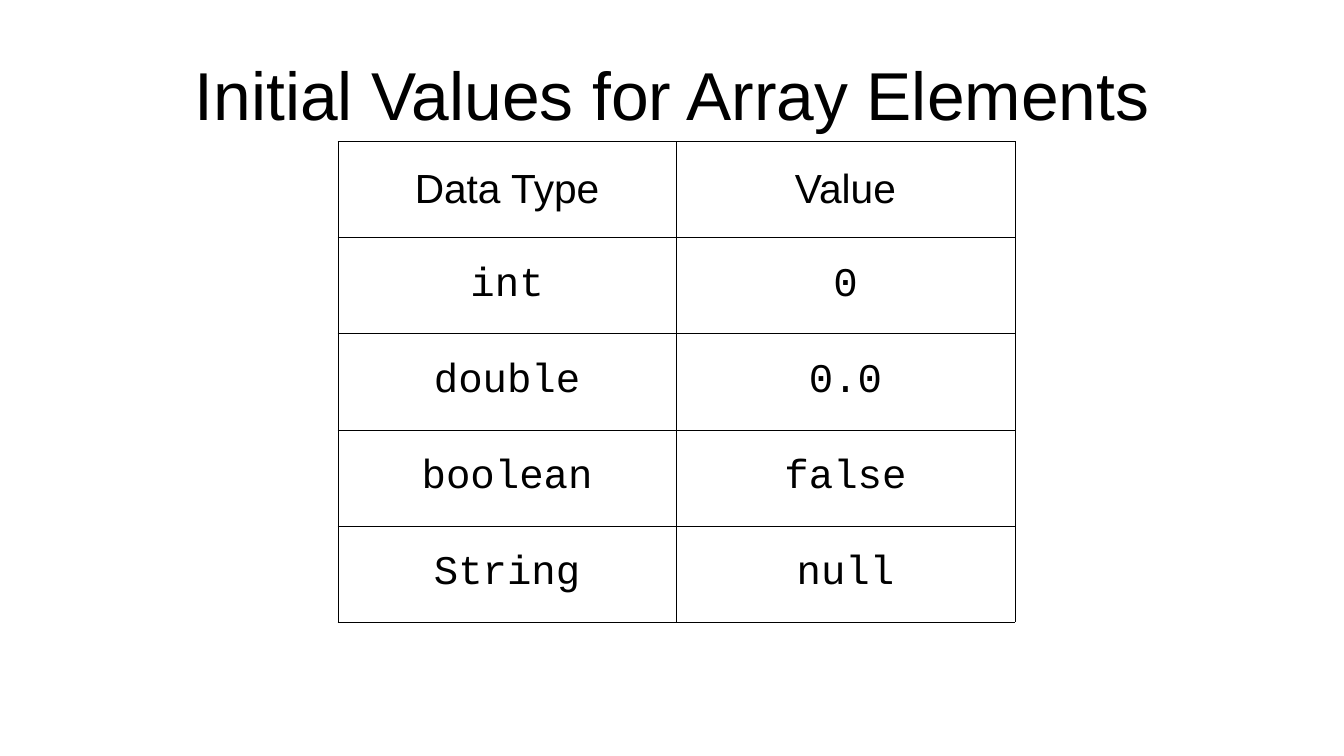
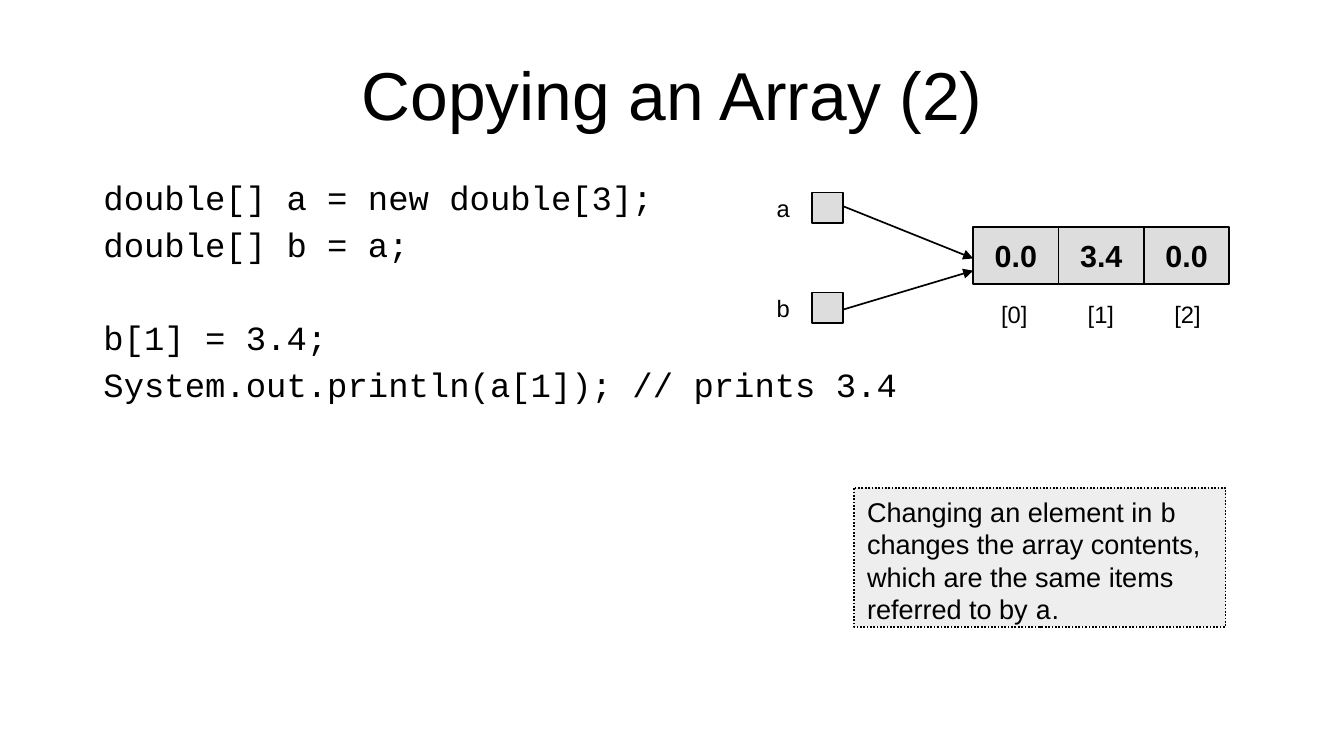
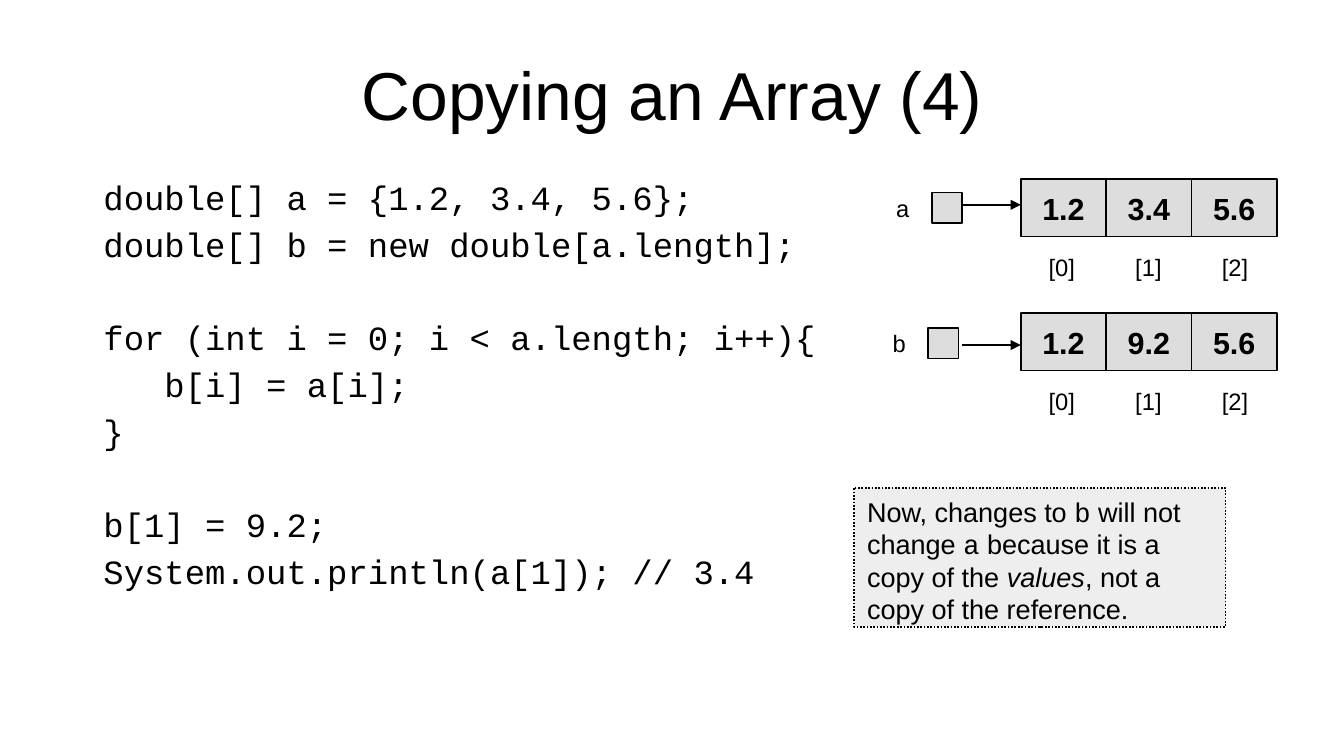
from lxml import etree
from pptx import Presentation
from pptx.dml.color import RGBColor
from pptx.enum.dml import MSO_LINE
from pptx.enum.shapes import MSO_CONNECTOR, MSO_SHAPE
from pptx.enum.text import MSO_ANCHOR, MSO_AUTO_SIZE, PP_ALIGN
from pptx.oxml.ns import qn
from pptx.util import Inches, Pt

RECTANGLE, STRAIGHT = MSO_SHAPE.RECTANGLE, MSO_CONNECTOR.STRAIGHT
LEFT, CENTER = PP_ALIGN.LEFT, PP_ALIGN.CENTER
TOP, MIDDLE = MSO_ANCHOR.TOP, MSO_ANCHOR.MIDDLE
GROW, FIXED = MSO_AUTO_SIZE.SHAPE_TO_FIT_TEXT, MSO_AUTO_SIZE.NONE
DOTTED = MSO_LINE.ROUND_DOT

COLORS = {"ink": "000000", "paper": "FFFFFF", "cell": "DDDDDD", "note": "EEEEEE"}
SANS, MONO = "Arial", "Courier New"
TITLE = {"name": SANS, "size": Pt(40)}
HEADING = {"name": SANS, "size": Pt(24)}
VALUE = {"name": MONO, "size": Pt(24)}
CODE = {"name": MONO, "size": Pt(20)}
ELEMENT = {"name": SANS, "size": Pt(18), "bold": True}
LABEL = {"name": SANS, "size": Pt(14)}
NOTE = {"name": SANS, "size": Pt(16)}
NOTE_CODE = {**NOTE, "name": MONO}
NOTE_ITALIC = {**NOTE, "italic": True}

TEXT_INSETS = (0.1, 0.05)
SHAPE_INSETS = (0.11, 0.06)
CELL_WIDTH, CELL_HEIGHT = 0.7, 0.47
INDEX_PITCH = 0.71
CODE_GAP = Pt(27.6)

# Content
INITIAL_VALUES = [
    ("Data Type", "Value"),
    ("int", "0"),
    ("double", "0.0"),
    ("boolean", "false"),
    ("String", "null"),
]

# Code is grouped in blocks; arrays, variables and arrows carry their places
COPY_PAGES = [
    {
        "title": "Copying an Array (2)",
        "code": [
            ["double[] a = new double[3];", "double[] b = a;"],
            ["b[1] = 3.4;", "System.out.println(a[1]); // prints 3.4"],
        ],
        "code_height": 1.91,
        "arrays": [(7.98, 1.86, ("0.0", "3.4", "0.0"))],
        "variables": [("a", 6.66, 1.58), ("b", 6.66, 2.4)],
        "arrows": [(6.91, 1.69, 7.98, 2.12), (6.91, 2.54, 7.98, 2.22)],
        "note": [
            ("Changing an element in ", NOTE),
            ("b", NOTE_CODE),
            (" changes the array contents, which are the same items referred to by ", NOTE),
            ("a", NOTE_CODE),
            (".", NOTE),
        ],
    },
    {
        "title": "Copying an Array (4)",
        "code": [
            ["double[] a = {1.2, 3.4, 5.6};", "double[] b = new double[a.length];"],
            ["for (int i = 0; i < a.length; i++){", "   b[i] = a[i];", "}"],
            ["b[1] = 9.2;", "System.out.println(a[1]); // 3.4"],
        ],
        "code_height": 3.36,
        "arrays": [
            (8.37, 1.47, ("1.2", "3.4", "5.6")),
            (8.37, 2.57, ("1.2", "9.2", "5.6")),
        ],
        "variables": [("a", 7.64, 1.58), ("b", 7.61, 2.69)],
        "arrows": [(7.89, 1.68, 8.37, 1.68), (7.89, 2.83, 8.37, 2.83)],
        "note": [
            ("Now, changes to ", NOTE),
            ("b", NOTE_CODE),
            (" will not change ", NOTE),
            ("a", NOTE_CODE),
            (" because it is a copy of the ", NOTE),
            ("values", NOTE_ITALIC),
            (", not a copy of the reference.", NOTE),
        ],
    },
]


# Text and shape helpers
def color(name):
    return RGBColor.from_string(COLORS[name])


def add_span(para, text, style):
    span = para.add_run()
    span.text = text
    for name, value in style.items():
        setattr(span.font, name, value)
    span.font.color.rgb = color("ink")


def set_frame(frame, insets, wrap=True, anchor=TOP, size=FIXED):
    across, down = insets
    formats = {
        "margin_left": Inches(across), "margin_right": Inches(across),
        "margin_top": Inches(down), "margin_bottom": Inches(down),
        "word_wrap": wrap, "vertical_anchor": anchor, "auto_size": size,
    }
    for name, value in formats.items():
        setattr(frame, name, value)


def add_text_box(page, left, top, width, height, wrap=False):
    box = page.shapes.add_textbox(*map(Inches, (left, top, width, height)))
    set_frame(box.text_frame, TEXT_INSETS, wrap=wrap, size=GROW)
    return box.text_frame


def add_label(page, text, left, top, width):
    frame = add_text_box(page, left, top, width, 0.32)
    add_span(frame.paragraphs[0], text, LABEL)


def add_rectangle(page, left, top, width, height, fill="cell"):
    box = page.shapes.add_shape(RECTANGLE, *map(Inches, (left, top, width, height)))
    box.shadow.inherit = False
    box.fill.solid()
    box.fill.fore_color.rgb = color(fill)
    box.line.color.rgb = color("ink")
    box.line.width = Pt(1)
    return box


def add_page(deck, title):
    page = deck.slides.add_slide(deck.slide_layouts.get_by_name("Title Only"))
    box = page.shapes.title
    box.left, box.top, box.width, box.height = map(Inches, (0.55, 0.25, 9.92, 1.04))
    set_frame(box.text_frame, (0, 0), anchor=MIDDLE)
    para = box.text_frame.paragraphs[0]
    para.alignment = CENTER
    add_span(para, title, TITLE)
    return page


# Table of initial values
def set_borders(cell):
    properties = cell._tc.get_or_add_tcPr()
    for position, side in enumerate(("lnL", "lnR", "lnT", "lnB")):
        line = etree.Element(qn(f"a:{side}"), w=str(Pt(0.06)))
        fill = etree.SubElement(line, qn("a:solidFill"))
        etree.SubElement(fill, qn("a:srgbClr"), val=COLORS["ink"])
        properties.insert(position, line)


def add_value_table(page):
    rows, columns = len(INITIAL_VALUES), len(INITIAL_VALUES[0])
    area = map(Inches, (2.77, 1.16, 5.55, 3.94))
    table = page.shapes.add_table(rows, columns, *area).table
    for row, texts in enumerate(INITIAL_VALUES):
        for column, text in enumerate(texts):
            cell = table.cell(row, column)
            cell.vertical_anchor = MIDDLE
            cell.fill.solid()
            cell.fill.fore_color.rgb = color("paper")
            set_borders(cell)
            para = cell.text_frame.paragraphs[0]
            para.alignment = CENTER
            add_span(para, text, VALUE if row else HEADING)


# Parts of the array pages
def add_code(page, blocks, height):
    frame = add_text_box(page, 0.75, 1.35, 6.96, height, wrap=True)
    para = frame.paragraphs[0]
    for block_number, block in enumerate(blocks):
        for line_number, line in enumerate(block):
            if block_number or line_number:
                para = frame.add_paragraph()
            if block_number and not line_number:
                para.space_before = CODE_GAP
            para.line_spacing = 1.15
            add_span(para, line, CODE)


def add_array(page, left, top, values):
    for index, value in enumerate(values):
        box = add_rectangle(page, left + index * CELL_WIDTH, top, CELL_WIDTH, CELL_HEIGHT)
        set_frame(box.text_frame, SHAPE_INSETS, wrap=False, anchor=MIDDLE)
        para = box.text_frame.paragraphs[0]
        para.alignment = CENTER
        add_span(para, value, ELEMENT)
        add_label(page, f"[{index}]", left + 0.13 + index * INDEX_PITCH, top + 0.55, 0.42)


def add_variable(page, name, left, top):
    add_rectangle(page, left, top, 0.25, 0.25)
    add_label(page, name, left - 0.39, top - 0.04, 0.31)


def add_arrow(page, *ends):
    arrow = page.shapes.add_connector(STRAIGHT, *map(Inches, ends))
    arrow.line.color.rgb = color("ink")
    arrow.line.width = Pt(1)
    etree.SubElement(arrow.line._get_or_add_ln(), qn("a:tailEnd"), type="triangle")
    etree.SubElement(arrow._element.spPr, qn("a:effectLst"))


def add_note(page, spans):
    box = add_rectangle(page, 7, 4, 3.05, 1.14, "note")
    box.line.dash_style = DOTTED
    set_frame(box.text_frame, SHAPE_INSETS, size=GROW)
    para = box.text_frame.paragraphs[0]
    para.alignment = LEFT
    for text, style in spans:
        add_span(para, text, style)


def main():
    deck = Presentation()
    deck.slide_width, deck.slide_height = Inches(11.02), Inches(6.2)

    add_value_table(add_page(deck, "Initial Values for Array Elements"))

    for content in COPY_PAGES:
        page = add_page(deck, content["title"])
        add_code(page, content["code"], content["code_height"])
        for array in content["arrays"]:
            add_array(page, *array)
        for variable in content["variables"]:
            add_variable(page, *variable)
        for arrow in content["arrows"]:
            add_arrow(page, *arrow)
        add_note(page, content["note"])

    deck.save("out.pptx")


if __name__ == "__main__":
    main()
